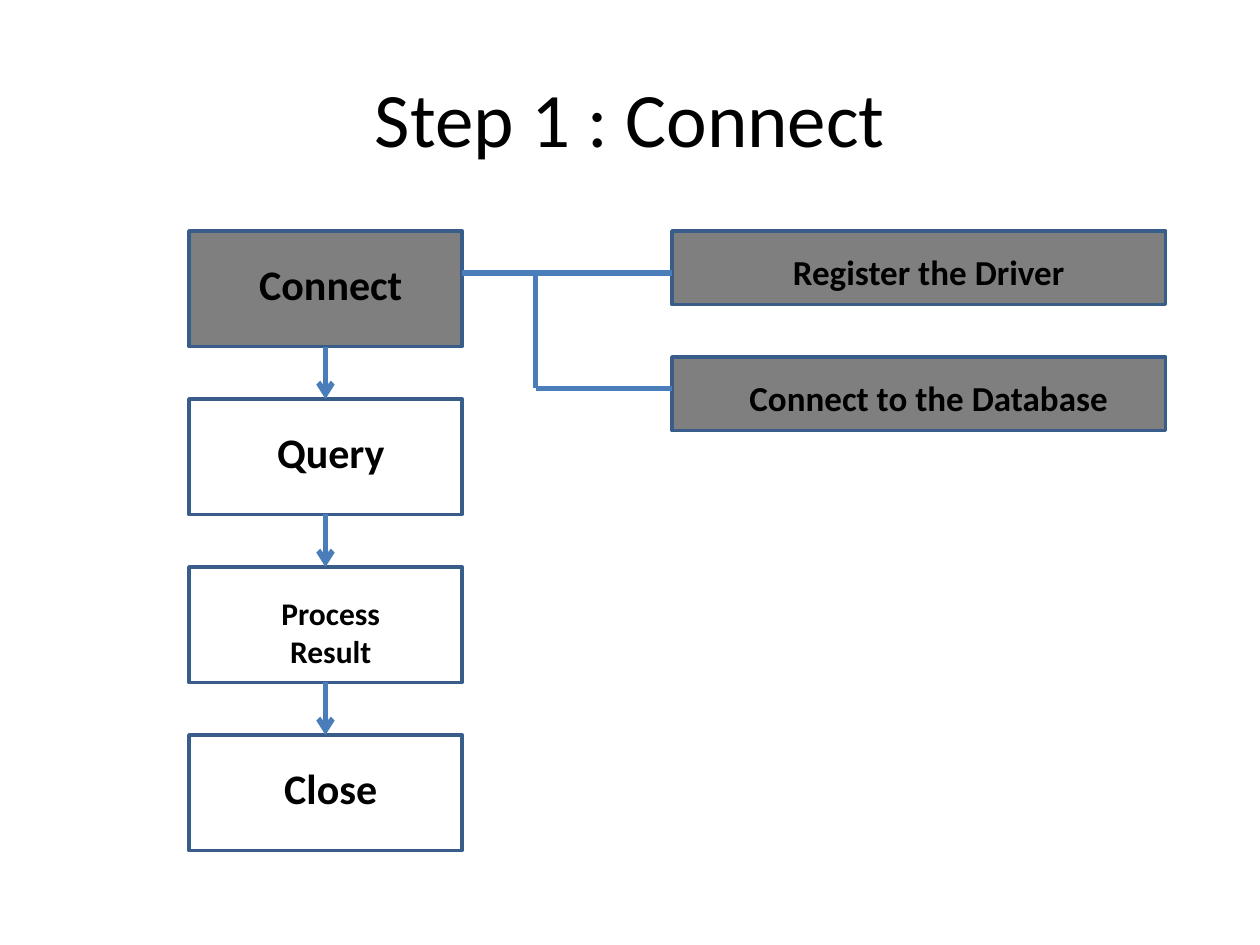
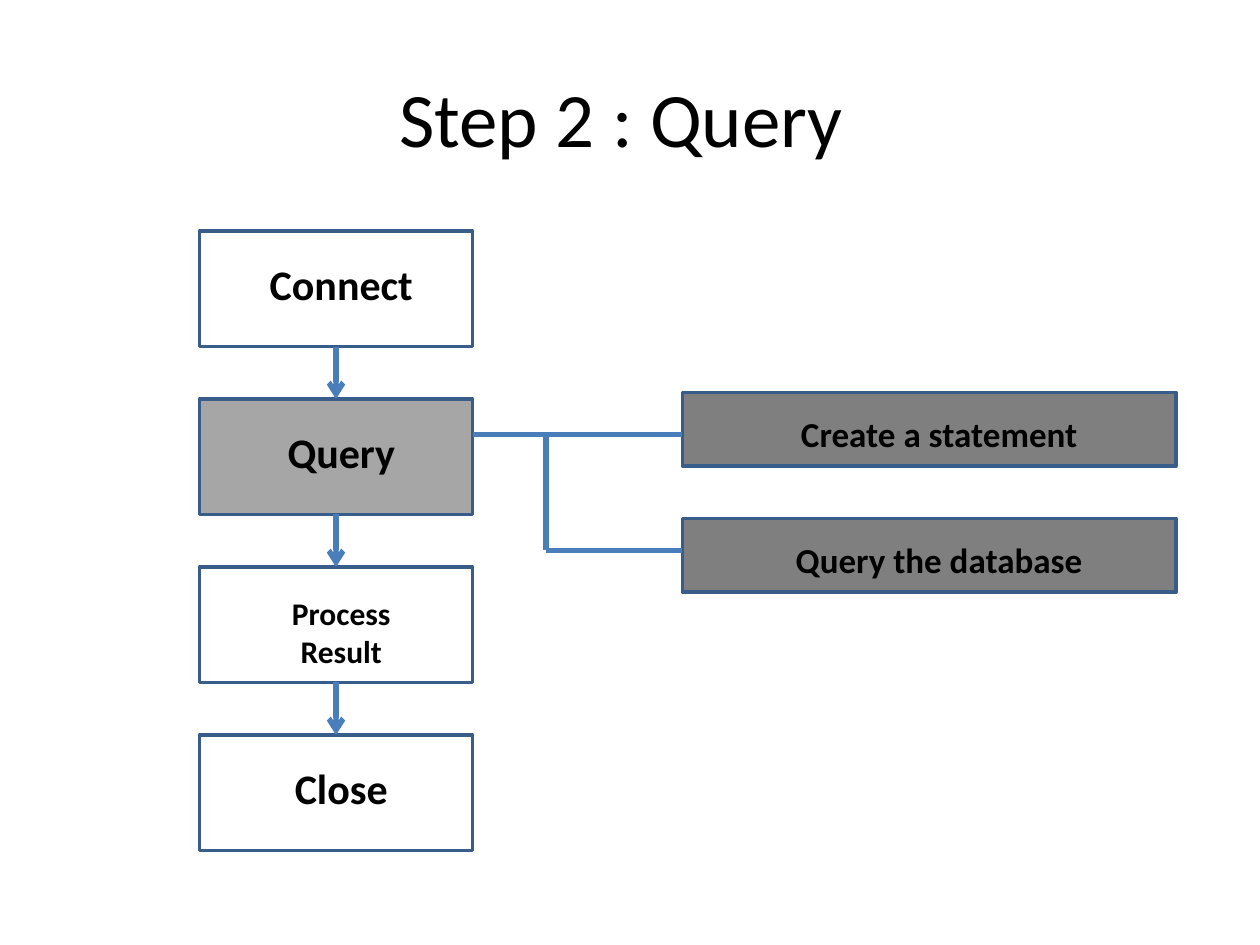
from dataclasses import dataclass
from itertools import pairwise
from typing import NamedTuple

from lxml import etree
from pptx import Presentation
from pptx.dml.color import RGBColor
from pptx.enum.shapes import MSO_CONNECTOR, MSO_SHAPE
from pptx.enum.text import MSO_ANCHOR, PP_ALIGN
from pptx.oxml.ns import qn
from pptx.shapes.autoshape import Shape
from pptx.shapes.connector import Connector
from pptx.slide import Slide
from pptx.util import Emu, Pt

RECTANGLE = MSO_SHAPE.RECTANGLE
STRAIGHT = MSO_CONNECTOR.STRAIGHT
CENTER = PP_ALIGN.CENTER
MIDDLE = MSO_ANCHOR.MIDDLE
TOP_SIDE, BOTTOM_SIDE = 0, 2
EMU_PER_PX = 7620
TITLE_ONLY = 5


@dataclass(frozen=True)
class Theme:
    font: str = "Calibri"
    ink: RGBColor = RGBColor(0x00, 0x00, 0x00)
    outline: RGBColor = RGBColor(0x38, 0x5D, 0x8A)
    connector: RGBColor = RGBColor(0x4A, 0x7E, 0xBB)
    dark_gray: RGBColor = RGBColor(0x7F, 0x7F, 0x7F)
    light_gray: RGBColor = RGBColor(0xA6, 0xA6, 0xA6)
    title_size: int = 44
    stage_size: int = 24
    small_stage_size: int = 18
    detail_size: int = 20
    outline_width: int = 2
    connector_width: int = 3


class Area(NamedTuple):
    left: int
    top: int
    width: int
    height: int

    def shifted(self, right: int, down: int) -> "Area":
        return Area(self.left + right, self.top + down, self.width, self.height)


class Point(NamedTuple):
    x: int
    y: int


@dataclass(frozen=True)
class Stage:
    lines: tuple[str, ...]
    size: int
    label_height: int = 60


@dataclass(frozen=True)
class Step:
    title: str
    active: int
    active_fill: RGBColor
    left: int
    details_top: int
    details: tuple[str, ...]


THEME = Theme()
TITLE_AREA = Area(60, 36, 1080, 150)
STAGE_TOP, STAGE_PITCH = 220, 160
STAGE_WIDTH, STAGE_HEIGHT = 260, 110
DETAIL_OFFSET, DETAIL_PITCH = 460, 120
DETAIL_WIDTH, DETAIL_HEIGHT = 470, 70
TRUNK_OFFSET = 330
BRANCH_DROP, BRANCH_PITCH = 40, 110

STAGES = (
    Stage(("Connect",), THEME.stage_size),
    Stage(("Query",), THEME.stage_size),
    Stage(("Process", "Result"), THEME.small_stage_size, 84),
    Stage(("Close",), THEME.stage_size),
)
STEPS = (
    Step("Step 1 : Connect", 0, THEME.dark_gray, 180, 220,
         ("Register the Driver", "Connect to the Database")),
    Step("Step 2 : Query ", 1, THEME.light_gray, 190, 374,
         ("Create a statement", "Query the database")),
)


def px(length: int) -> Emu:
    return Emu(length * EMU_PER_PX)


def to_emu(lengths: tuple[int, ...]) -> list[Emu]:
    return [px(length) for length in lengths]


def write_lines(shape: Shape, lines: tuple[str, ...], size: int, bold: bool) -> None:
    frame = shape.text_frame
    frame.word_wrap = True
    frame.text = "\n".join(lines)
    for para in frame.paragraphs:
        para.alignment = CENTER
        para.font.name = THEME.font
        para.font.size = Pt(size)
        para.font.bold = bold
        para.font.color.rgb = THEME.ink


def add_title(page: Slide, text: str) -> None:
    title = page.shapes.title
    title.left, title.top, title.width, title.height = to_emu(TITLE_AREA)
    write_lines(title, (text,), THEME.title_size, False)
    title.text_frame.vertical_anchor = MIDDLE


def add_labelled_box(page: Slide, area: Area, label_area: Area, lines: tuple[str, ...],
                     size: int, fill: RGBColor | None) -> Shape:
    group = page.shapes.add_group_shape()
    box = group.shapes.add_shape(RECTANGLE, *to_emu(area))
    box.shadow.inherit = False
    if fill is None:
        box.fill.background()
    else:
        box.fill.solid()
        box.fill.fore_color.rgb = fill
    box.line.color.rgb = THEME.outline
    box.line.width = Pt(THEME.outline_width)
    label = group.shapes.add_textbox(*to_emu(label_area))
    write_lines(label, lines, size, True)
    return box


def add_line(page: Slide, start: Point, end: Point) -> Connector:
    line = page.shapes.add_connector(STRAIGHT, *to_emu(start + end))
    line.line.color.rgb = THEME.connector
    line.line.width = Pt(THEME.connector_width)
    etree.SubElement(line._element.spPr, qn("a:effectLst"))
    return line


def add_arrow(page: Slide, upper: Shape, lower: Shape) -> None:
    arrow = add_line(page, Point(0, 0), Point(0, 0))
    arrow.begin_connect(upper, BOTTOM_SIDE)
    arrow.end_connect(lower, TOP_SIDE)
    etree.SubElement(arrow.line._get_or_add_ln(), qn("a:tailEnd"), type="arrow")


def add_stages(page: Slide, step: Step) -> None:
    boxes = []
    for index, stage in enumerate(STAGES):
        area = Area(step.left, STAGE_TOP + index * STAGE_PITCH, STAGE_WIDTH, STAGE_HEIGHT)
        label_area = area.shifted(30, 20)._replace(width=210, height=stage.label_height)
        fill = step.active_fill if index == step.active else None
        boxes.append(add_labelled_box(page, area, label_area, stage.lines, stage.size, fill))
    for upper, lower in pairwise(boxes):
        add_arrow(page, upper, lower)


def add_details(page: Slide, step: Step) -> None:
    left = step.left + DETAIL_OFFSET
    for index, detail in enumerate(step.details):
        area = Area(left, step.details_top + index * DETAIL_PITCH, DETAIL_WIDTH, DETAIL_HEIGHT)
        label_area = area.shifted(55, 13)._replace(width=379, height=53)
        add_labelled_box(page, area, label_area, (detail,), THEME.detail_size, THEME.dark_gray)

    trunk = step.left + TRUNK_OFFSET
    upper = step.details_top + BRANCH_DROP
    lower = upper + BRANCH_PITCH
    add_line(page, Point(step.left + STAGE_WIDTH, upper), Point(left, upper))
    add_line(page, Point(trunk, upper), Point(trunk, lower))
    add_line(page, Point(trunk, lower), Point(left, lower))


def main() -> None:
    deck = Presentation()
    deck.slide_width, deck.slide_height = px(1200), px(900)
    for step in STEPS:
        page = deck.slides.add_slide(deck.slide_layouts[TITLE_ONLY])
        add_title(page, step.title)
        add_stages(page, step)
        add_details(page, step)
    deck.save("out.pptx")


if __name__ == "__main__":
    main()
